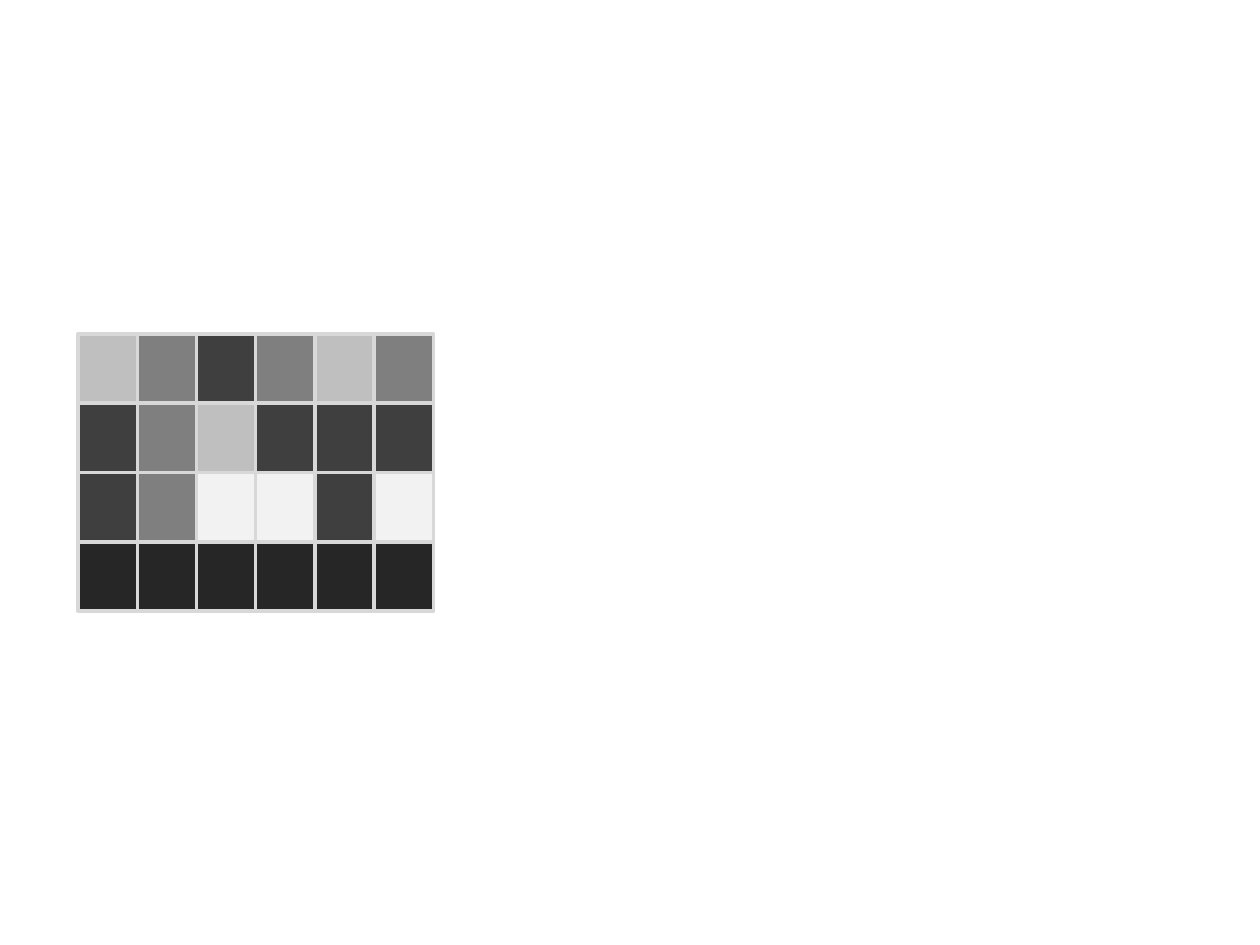
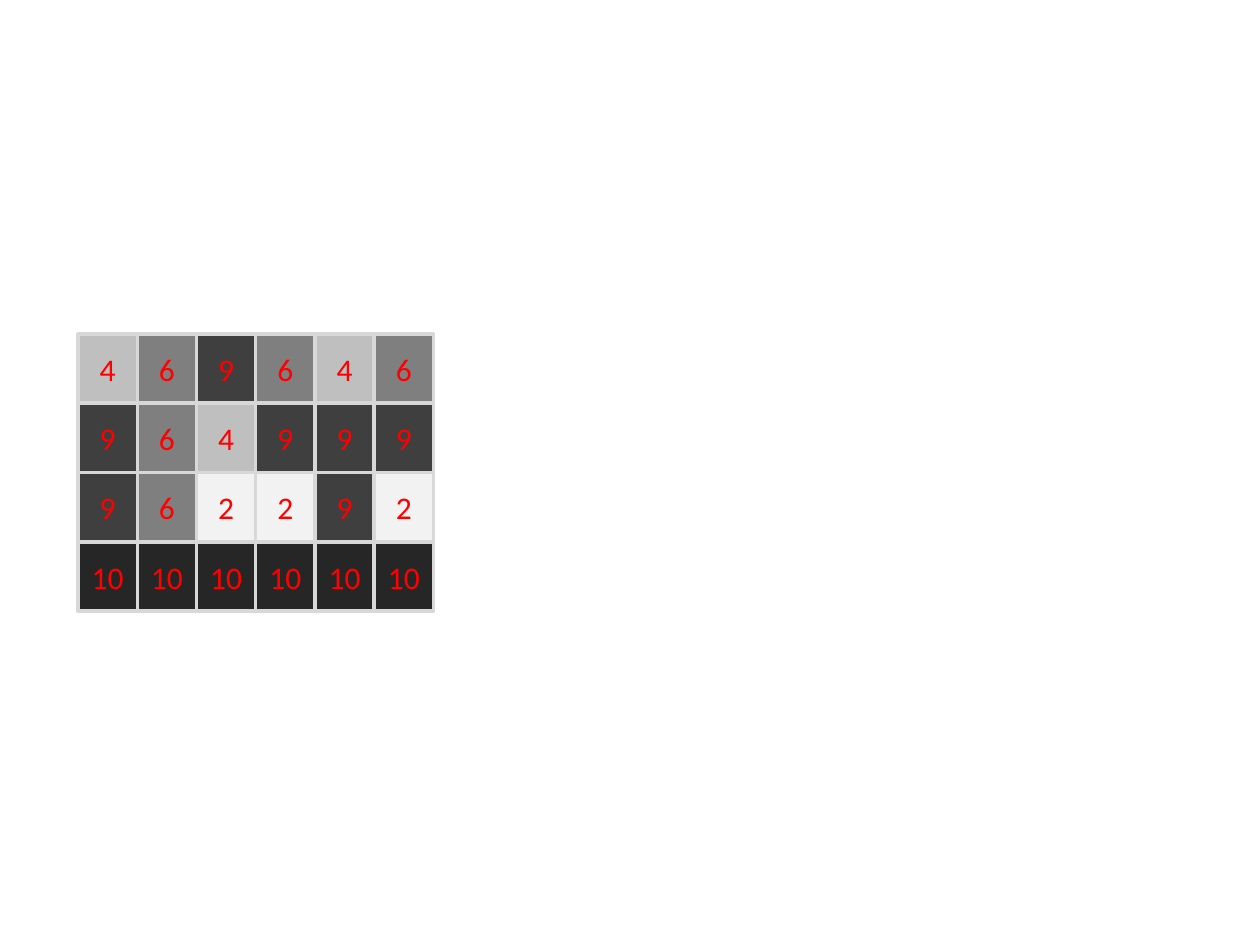
from dataclasses import dataclass

from pptx import Presentation
from pptx.dml.color import RGBColor
from pptx.enum.shapes import MSO_SHAPE
from pptx.enum.text import MSO_ANCHOR, PP_ALIGN
from pptx.slide import Slide
from pptx.util import Inches, Pt

GRID_LINE = RGBColor(0xD8, 0xD8, 0xD8)
LEVEL_RED = RGBColor(0xFF, 0x00, 0x00)
GREY_BY_LEVEL = {
    2: RGBColor(0xF2, 0xF2, 0xF2),
    4: RGBColor(0xBF, 0xBF, 0xBF),
    6: RGBColor(0x7F, 0x7F, 0x7F),
    9: RGBColor(0x3F, 0x3F, 0x3F),
    10: RGBColor(0x26, 0x26, 0x26),
}

GREY_LEVELS = (
    (4, 6, 9, 6, 4, 6),
    (9, 6, 4, 9, 9, 9),
    (9, 6, 2, 2, 9, 2),
    (10, 10, 10, 10, 10, 10),
)
GRID_LEFT, GRID_TOP = Inches(0.62), Inches(2.65)
PIXEL_WIDTH, PIXEL_HEIGHT = Inches(0.47), Inches(0.55)

FRAME_FORMAT = {"vertical_anchor": MSO_ANCHOR.MIDDLE, "word_wrap": True}
LEVEL_FONT = {"name": "Calibri", "size": Pt(18)}


@dataclass(frozen=True)
class Pixel:
    row: int
    column: int
    level: int


PIXELS = [
    Pixel(row, column, level)
    for row, levels in enumerate(GREY_LEVELS)
    for column, level in enumerate(levels)
]


def apply_format(target: object, values: dict[str, object]) -> None:
    for attribute, value in values.items():
        setattr(target, attribute, value)


def draw_pixel(slide: Slide, pixel: Pixel, show_level: bool) -> None:
    square = slide.shapes.add_shape(
        MSO_SHAPE.RECTANGLE,
        GRID_LEFT + pixel.column * PIXEL_WIDTH,
        GRID_TOP + pixel.row * PIXEL_HEIGHT,
        PIXEL_WIDTH,
        PIXEL_HEIGHT,
    )
    square.shadow.inherit = False
    square.fill.solid()
    square.fill.fore_color.rgb = GREY_BY_LEVEL[pixel.level]
    square.line.color.rgb = GRID_LINE
    square.line.width = Pt(2)
    if show_level:
        frame = square.text_frame
        apply_format(frame, FRAME_FORMAT)
        paragraph = frame.paragraphs[0]
        paragraph.text = str(pixel.level)
        paragraph.alignment = PP_ALIGN.CENTER
        apply_format(paragraph.font, LEVEL_FONT)
        paragraph.font.color.rgb = LEVEL_RED


def main() -> None:
    presentation = Presentation()
    presentation.slide_width = Inches(10)
    presentation.slide_height = Inches(7.5)
    blank_layout = presentation.slide_layouts[6]
    for show_level in (False, True):
        slide = presentation.slides.add_slide(blank_layout)
        for pixel in PIXELS:
            draw_pixel(slide, pixel, show_level)
    presentation.save("out.pptx")


if __name__ == "__main__":
    main()
